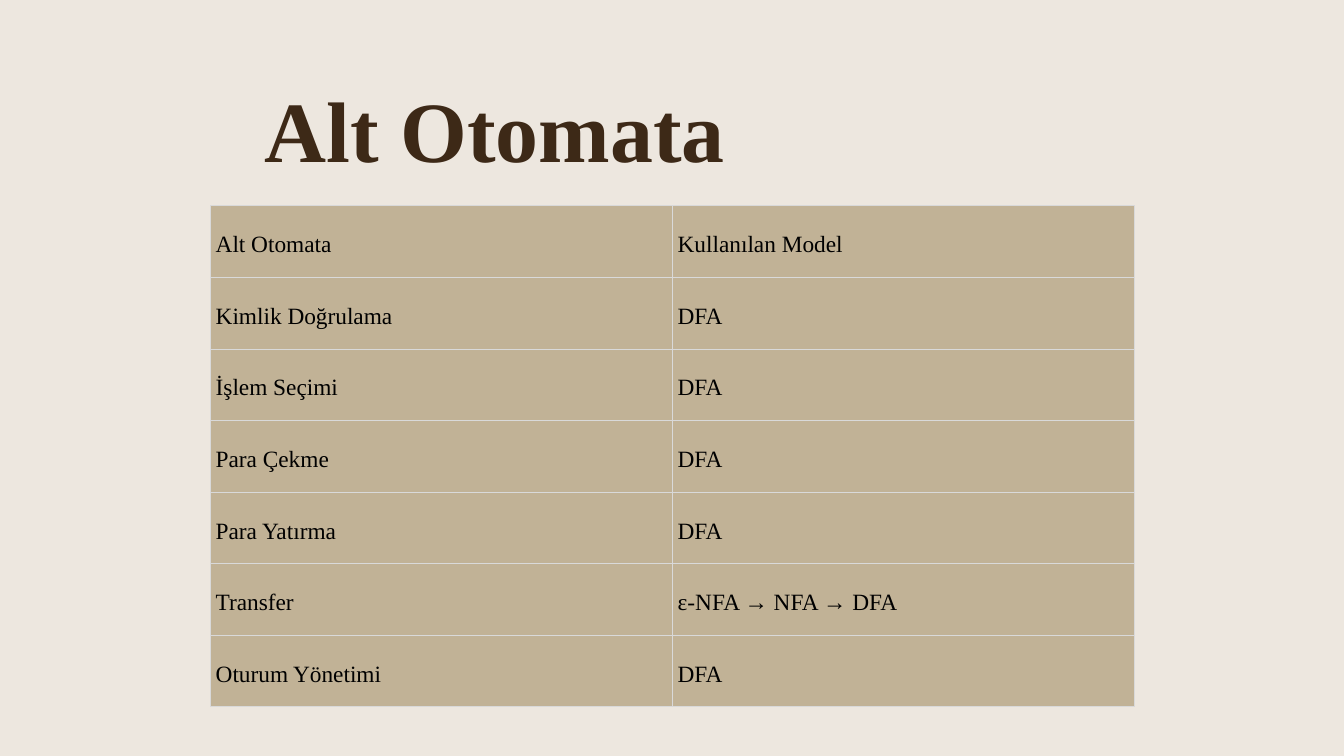
"""Build the slide that lists the sub-automata and the model each one uses."""
from typing import Any, NamedTuple

from lxml.etree import SubElement
from pptx import Presentation
from pptx.dml.color import RGBColor
from pptx.enum.text import MSO_ANCHOR as ANCHOR, MSO_AUTO_SIZE as FIT, PP_ALIGN as ALIGN
from pptx.oxml.ns import qn
from pptx.util import Inches, Pt

COLORS = {"bg": "EDE7DF", "title": "3D2917", "text": "000000", "cell": "C1B296", "border": "D9D9D9"}
FONT = "Times New Roman"
SLIDE_W, SLIDE_H = Inches(20), Inches(11.25)
MARGINS = ("margin_left", "margin_top", "margin_right", "margin_bottom")


class Box(NamedTuple):
    """Place of an element in shares of the slide's size."""
    x: float
    y: float
    w: float
    h: float

    def emu(self) -> tuple[int, ...]:
        sizes = (SLIDE_W, SLIDE_H, SLIDE_W, SLIDE_H)
        return tuple(round(share * size) for share, size in zip(self, sizes))


class Style(NamedTuple):
    """Look of one paragraph."""
    size: float
    leading: float
    color: str
    bold: bool
    align: ALIGN


class Row(NamedTuple):
    """One table row."""
    automaton: str
    model: str


TITLE_BOX = Box(1.12 / 20, 0.88 / 11.25, 12.49 / 20, 1.78 / 11.25)
TABLE_BOX = Box(3.13 / 20, 3.06 / 11.25, 13.75 / 20, 7.46 / 11.25)
TITLE_STYLE = Style(92, 128.8, "title", True, ALIGN.CENTER)
CELL_STYLE = Style(25, 35, "text", False, ALIGN.LEFT)
ROWS = [
    Row("Alt Otomata", "Kullanılan Model"),
    Row("Kimlik Doğrulama", "DFA"),
    Row("İşlem Seçimi", "DFA"),
    Row("Para Çekme", "DFA"),
    Row("Para Yatırma", "DFA"),
    Row("Transfer", "ε-NFA → NFA → DFA"),
    Row("Oturum Yönetimi", "DFA"),
]


def rgb(name: str) -> RGBColor:
    """Look up a palette colour."""
    return RGBColor.from_string(COLORS[name])


def set_attrs(obj: Any, values: dict[str, Any]) -> None:
    """Set each named attribute on an object."""
    for name, value in values.items():
        setattr(obj, name, value)


def write(tf: Any, text: str, style: Style) -> None:
    """Write one styled paragraph into a text frame."""
    p = tf.paragraphs[0]
    set_attrs(p, {"alignment": style.align, "line_spacing": Pt(style.leading)})
    r = p.add_run()
    r.text = text
    set_attrs(r.font, {"name": FONT, "size": Pt(style.size), "bold": style.bold})
    r.font.color.rgb = rgb(style.color)


def add_borders(cell: Any) -> None:
    """Draw a thin line on all four sides of a cell."""
    tc_pr = cell._tc.get_or_add_tcPr()
    for side in ("a:lnL", "a:lnR", "a:lnT", "a:lnB"):
        ln = SubElement(tc_pr, qn(side), w=str(Pt(0.75)))
        fill = SubElement(ln, qn("a:solidFill"))
        SubElement(fill, qn("a:srgbClr"), val=COLORS["border"])


def add_title(s: Any, text: str) -> None:
    """Place and format the title placeholder."""
    sp = s.shapes.title
    set_attrs(sp, dict(zip(("left", "top", "width", "height"), TITLE_BOX.emu())))
    tf = sp.text_frame
    set_attrs(tf, dict.fromkeys(MARGINS, 0))
    set_attrs(tf, {"word_wrap": True, "vertical_anchor": ANCHOR.TOP, "auto_size": FIT.SHAPE_TO_FIT_TEXT})
    write(tf, text, TITLE_STYLE)


def add_model_table(s: Any, rows: list[Row]) -> None:
    """Add the table of automata and models."""
    table = s.shapes.add_table(len(rows), len(Row._fields), *TABLE_BOX.emu()).table
    set_attrs(table, {"first_row": False, "horz_banding": False})
    for i, row in enumerate(rows):
        for j, text in enumerate(row):
            cell = table.cell(i, j)
            set_attrs(cell, dict.fromkeys(MARGINS, Inches(0.08)))
            cell.vertical_anchor = ANCHOR.MIDDLE
            add_borders(cell)
            cell.fill.solid()
            cell.fill.fore_color.rgb = rgb("cell")
            write(cell.text_frame, text, CELL_STYLE)


def main() -> None:
    """Build and save the presentation."""
    prs = Presentation()
    set_attrs(prs, {"slide_width": SLIDE_W, "slide_height": SLIDE_H})
    s = prs.slides.add_slide(prs.slide_layouts.get_by_name("Title Only"))
    s.background.fill.solid()
    s.background.fill.fore_color.rgb = rgb("bg")
    add_title(s, "Alt Otomata")
    add_model_table(s, ROWS)
    prs.save("out.pptx")


if __name__ == "__main__":
    main()
